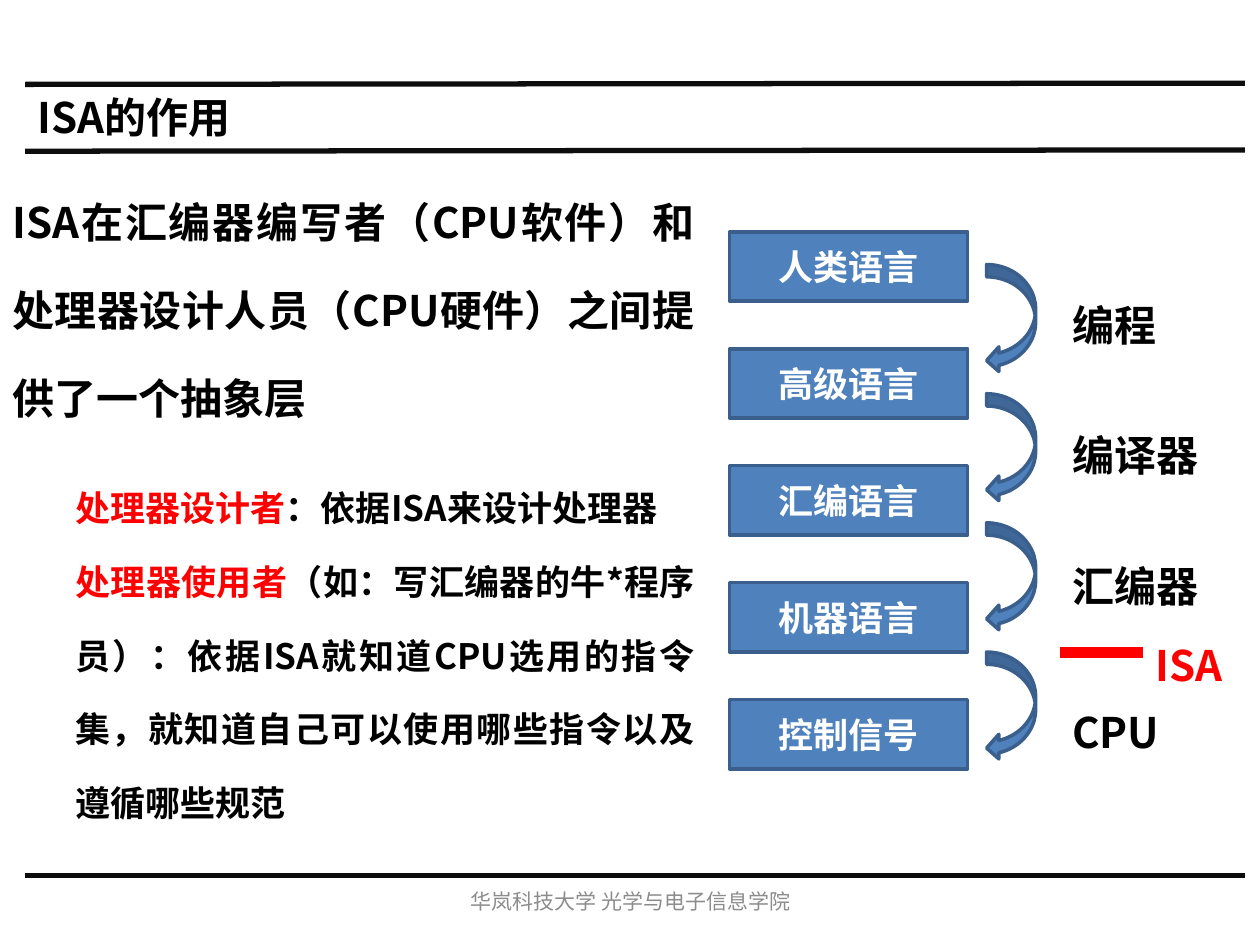
from lxml.etree import SubElement
from pptx import Presentation
from pptx.dml.color import RGBColor
from pptx.enum.shapes import MSO_CONNECTOR as Connector, MSO_SHAPE as Shape
from pptx.enum.text import MSO_ANCHOR as Anchor, MSO_AUTO_SIZE as AutoSize, PP_ALIGN as Align
from pptx.oxml.ns import qn
from pptx.util import Inches, Pt

THEME = {
    "heading_font": "Noto Sans CJK SC", "footer_font": "Calibri",
    "large": 24, "medium": 20, "small": 12,
    "black": "000000", "rule": "0D0D0D", "red": "FF0000", "white": "FFFFFF",
    "gray": "8C8C8C", "blue": "4F81BD", "outline": "3A5F8C",
}

presentation = Presentation()
presentation.slide_width, presentation.slide_height = Inches(10), Inches(7.5)
slide = presentation.slides.add_slide(presentation.slide_layouts[6])
shapes = slide.shapes

# The grid has 100 columns and 75 rows
COLUMN = presentation.slide_width / 100
ROW = presentation.slide_height / 75


def place(left, top, width, height):
    """Turn grid columns and rows into slide lengths."""
    return [round(left * COLUMN), round(top * ROW), round(width * COLUMN), round(height * ROW)]


def write(shape, parts, size, color="black", align=Align.JUSTIFY, spacing=None,
          anchor=Anchor.TOP, font="heading_font"):
    """Fill a shape with one paragraph; parts are (text, color or None for the paragraph's)."""
    frame = shape.text_frame
    frame.word_wrap = True
    frame.vertical_anchor = anchor
    paragraph = frame.paragraphs[0]
    paragraph.alignment = align
    paragraph.line_spacing = spacing
    paragraph.font.name = THEME[font]
    paragraph.font.size = Pt(THEME[size])
    paragraph.font.bold = font == "heading_font"
    paragraph.font.color.rgb = RGBColor.from_string(THEME[color])
    properties = paragraph._p.get_or_add_pPr()
    SubElement(properties.find(qn("a:defRPr")), qn("a:ea"), typeface=THEME["heading_font"])
    for text, part_color in parts:
        run = paragraph.add_run()
        run.text = text
        if part_color:
            run.font.color.rgb = RGBColor.from_string(THEME[part_color])
    return paragraph


# Rules of the page and the red ISA boundary
for left, start, right, end, color, weight in [
    (2, 12, 98.8, 11.9, "rule", 3),
    (2, 6.7, 98.8, 6.6, "rule", 3),
    (2, 69.5, 98.8, 69.5, "rule", 3),
    (84.1, 51.8, 90.7, 51.8, "red", 6),
]:
    line = shapes.add_connector(Connector.STRAIGHT, *place(left, start, right, end))
    line.line.color.rgb = RGBColor.from_string(THEME[color])
    line.line.width = Pt(weight)
    SubElement(line._element.spPr, qn("a:effectLst"))

# Title and footer
title = shapes.add_textbox(*place(2, 6.8, 96.9, 5))
write(title, [("ISA的作用", None)], "large", align=Align.LEFT, anchor=Anchor.MIDDLE)
footer = shapes.add_textbox(*place(34.2, 69.5, 31.7, 4))
write(footer, [("华岚科技大学 光学与电子信息学院", None)], "small", "gray", Align.CENTER,
      anchor=Anchor.MIDDLE, font="footer_font")

# Explanation on the left
for top, height, size, indent, parts in [
    (12.1, 21.2, "large", 0,
     [("ISA在汇编器编写者（CPU软件）和处理器设计人员（CPU硬件）之间提供了一个抽象层", None)]),
    (35.6, 6.1, "medium", 5,
     [("处理器设计者", "red"), ("：依据ISA来设计处理器", None)]),
    (41.5, 23.8, "medium", 5,
     [("处理器使用者", "red"),
      ("（如：写汇编器的牛*程序员）：依据ISA就知道CPU选用的指令集，"
       "就知道自己可以使用哪些指令以及遵循哪些规范", None)]),
]:
    box = shapes.add_textbox(*place(0, top, 56.1, height))
    paragraph = write(box, parts, size, spacing=1.75)
    box.text_frame.auto_size = AutoSize.SHAPE_TO_FIT_TEXT
    if indent:
        paragraph.level = 1
        properties = paragraph._p.get_or_add_pPr()
        properties.set("marL", str(round(indent * COLUMN)))
        properties.set("indent", "0")

# Language levels, joined by curved arrows
levels = ["人类语言", "高级语言", "汇编语言", "机器语言", "控制信号"]
blocks = [(Shape.RECTANGLE, 57.9, 18.4 + 9.28 * index, 18.9, 5.5, level)
          for index, level in enumerate(levels)]
blocks += [(Shape.CURVED_LEFT_ARROW, 78.3, 21 + 10.25 * index, 3.9, 8.6, None)
           for index in range(len(levels) - 1)]
for kind, left, top, width, height, level in blocks:
    block = shapes.add_shape(kind, *place(left, top, width, height))
    block.shadow.inherit = False
    block.fill.solid()
    block.fill.fore_color.rgb = RGBColor.from_string(THEME["blue"])
    block.line.color.rgb = RGBColor.from_string(THEME["outline"])
    block.line.width = Pt(2)
    if level:
        write(block, [(level, None)], "medium", "white", Align.CENTER, anchor=Anchor.MIDDLE)

# Labels of the steps
for text, left, top, width, color in [
    ("编程", 84.1, 20.3, 13.2, "black"),
    ("编译器", 84.1, 30.6, 13.2, "black"),
    ("汇编器", 84.1, 41, 13.2, "black"),
    ("CPU", 84.1, 52.6, 13.2, "black"),
    ("ISA", 90.7, 47.3, 8.2, "red"),
]:
    label = shapes.add_textbox(*place(left, top, width, 7.1))
    write(label, [(text, None)], "large", color, spacing=1.75)
    label.text_frame.auto_size = AutoSize.SHAPE_TO_FIT_TEXT

presentation.save("out.pptx")
